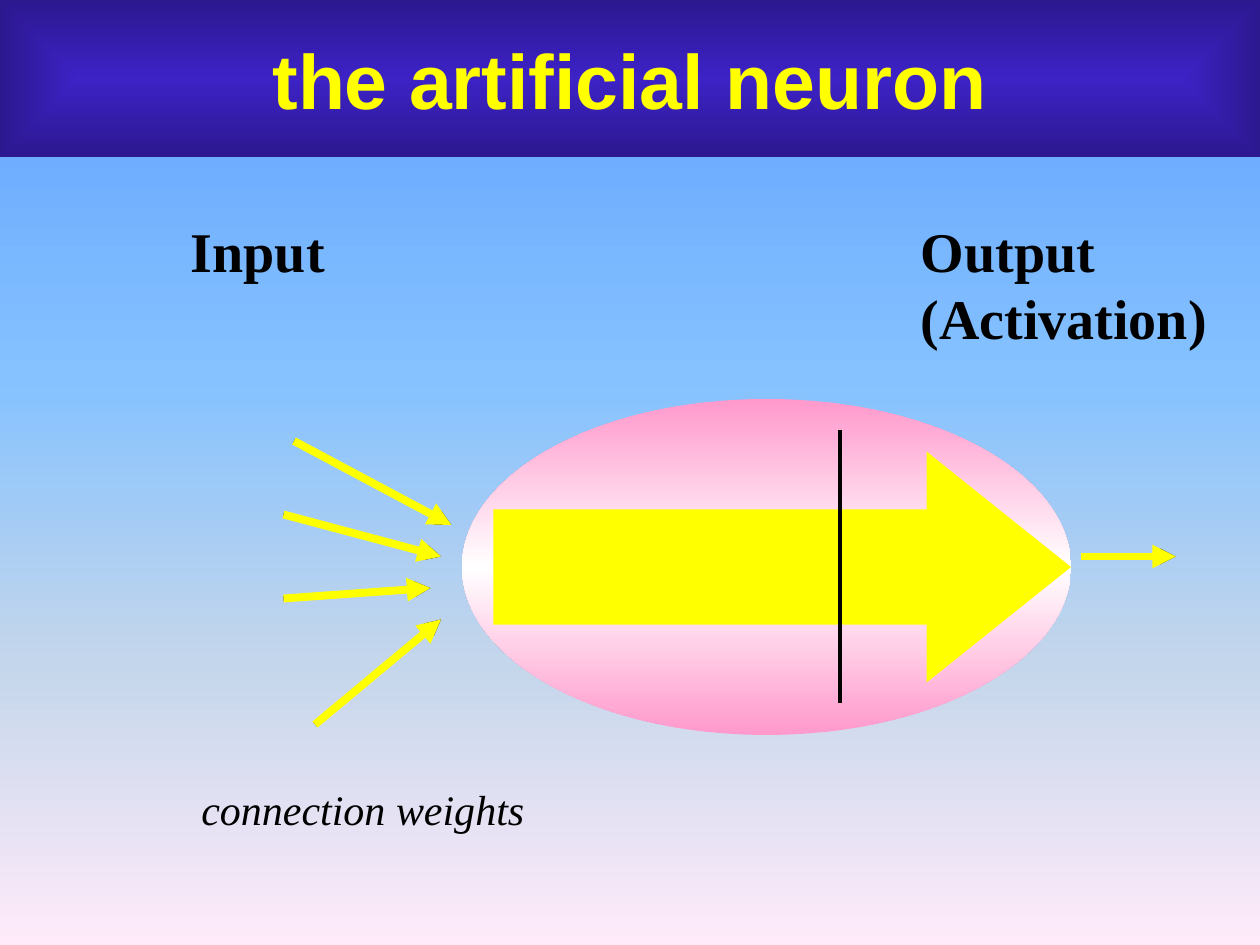
import pptx
import pptx.dml.color
import pptx.enum.shapes
import pptx.enum.text
import pptx.oxml
import pptx.oxml.ns
import pptx.util

Pt = pptx.util.Pt
RGB = pptx.dml.color.RGBColor.from_string
SHAPE = pptx.enum.shapes.MSO_SHAPE
A = "http://schemas.openxmlformats.org/drawingml/2006/main"
COLORS = {
    "sky": "5E9EFF", "light_sky": "85C2FF", "haze": "C4D6EB", "blush": "FFEBFA",
    "indigo": "3D22C6", "pink": "FF99CC", "white": "FFFFFF",
    "yellow": "FFFF00", "black": "000000",
}


def set_gradient(fill, owner, stops, direction):
    """Stops are (percent, colour, extra colour XML)."""
    fill.gradient()
    gradient = next(owner.iter(pptx.oxml.ns.qn("a:gradFill")))
    for child in list(gradient):
        gradient.remove(child)
    stop_xml = "".join(
        f'<a:gs pos="{pos * 1000}"><a:srgbClr val="{COLORS[color]}">{extra}</a:srgbClr></a:gs>'
        for pos, color, extra in stops)
    parts = pptx.oxml.parse_xml(
        f'<a:gradFill xmlns:a="{A}"><a:gsLst>{stop_xml}</a:gsLst>{direction}</a:gradFill>')
    for part in list(parts):
        gradient.append(part)


def add_line(start, end, color, width, arrow=True):
    line = slide.shapes.add_connector(
        pptx.enum.shapes.MSO_CONNECTOR.STRAIGHT, *[Pt(v) for v in start + end])
    line.line.color.rgb = RGB(COLORS[color])
    line.line.width = Pt(width)
    if arrow:
        line.line._get_or_add_ln().append(
            pptx.oxml.parse_xml(f'<a:tailEnd xmlns:a="{A}" type="triangle"/>'))
    line._element.spPr.append(pptx.oxml.parse_xml(f'<a:effectLst xmlns:a="{A}"/>'))


deck = pptx.Presentation()
deck.slide_width, deck.slide_height = Pt(720), Pt(540)
slide = deck.slides.add_slide(deck.slide_layouts[6])

# Background
DOWN = '<a:lin ang="5400000" scaled="0"/>'
set_gradient(slide.background.fill, slide._element,
             [(0, "sky", ""), (40, "light_sky", ""), (70, "haze", ""), (100, "blush", "")],
             DOWN)

# Title band
title = slide.shapes.add_shape(SHAPE.RECTANGLE, 0, 0, Pt(720), Pt(90))
title.shadow.inherit = False
title.line.fill.background()
set_gradient(title.fill, title._element,
             [(0, "indigo", ""), (100, "indigo", '<a:shade val="47843"/>')],
             '<a:path path="shape"><a:fillToRect l="50000" t="50000" r="50000" b="50000"/></a:path>')
title.text_frame.vertical_anchor = pptx.enum.text.MSO_ANCHOR.MIDDLE
heading = title.text_frame.paragraphs[0]
heading.text = "the artificial neuron"
heading.alignment = pptx.enum.text.PP_ALIGN.CENTER
heading.font.name = "Arial"
heading.font.size = Pt(44)
heading.font.bold = True
heading.font.color.rgb = RGB(COLORS["yellow"])

# Labels
labels = [
    ("Input", (102, 120, 92, 46), 32, True),
    ("Output\n(Activation)", (519, 120, 179, 85), 32, True),
    ("connection weights", (108, 444, 199, 36), 24, False),
]
for text, box, size, is_heading in labels:
    label = slide.shapes.add_textbox(*[Pt(v) for v in box])
    label.text_frame.word_wrap = False
    label.text_frame.auto_size = pptx.enum.text.MSO_AUTO_SIZE.SHAPE_TO_FIT_TEXT
    label.text_frame.text = text
    for paragraph in label.text_frame.paragraphs:
        paragraph.font.name = "Times New Roman"
        paragraph.font.size = Pt(size)
        paragraph.font.bold = is_heading
        paragraph.font.italic = not is_heading
        paragraph.font.color.rgb = RGB(COLORS["black"])

# Neuron body
body = slide.shapes.add_shape(SHAPE.OVAL, Pt(264), Pt(228), Pt(348), Pt(192))
body.shadow.inherit = False
body.line.fill.background()
set_gradient(body.fill, body._element,
             [(0, "pink", ""), (50, "white", ""), (100, "pink", "")], DOWN)

# Input and output connections: black underlay, then yellow
inputs = [
    ((168, 252), (258, 300)),
    ((162, 294), (252, 318)),
    ((162, 342), (246, 336)),
    ((180, 414), (252, 354)),
]
output = ((618, 318), (672, 318))
for start, end in inputs + [output]:
    add_line(start, end, "black", 3)
for start, end in inputs:
    add_line(start, end, "yellow", 4.5)

# Signal flow through the neuron
flow = slide.shapes.add_shape(SHAPE.RIGHT_ARROW, Pt(282), Pt(258), Pt(330), Pt(132))
flow.adjustments[0] = 0.5
flow.adjustments[1] = 0.625
flow.shadow.inherit = False
flow.line.fill.background()
flow.fill.solid()
flow.fill.fore_color.rgb = RGB(COLORS["yellow"])
add_line(*output, "yellow", 4.5)

# Threshold
add_line((480, 246), (480, 402), "black", 2.25, arrow=False)

deck.save("out.pptx")
